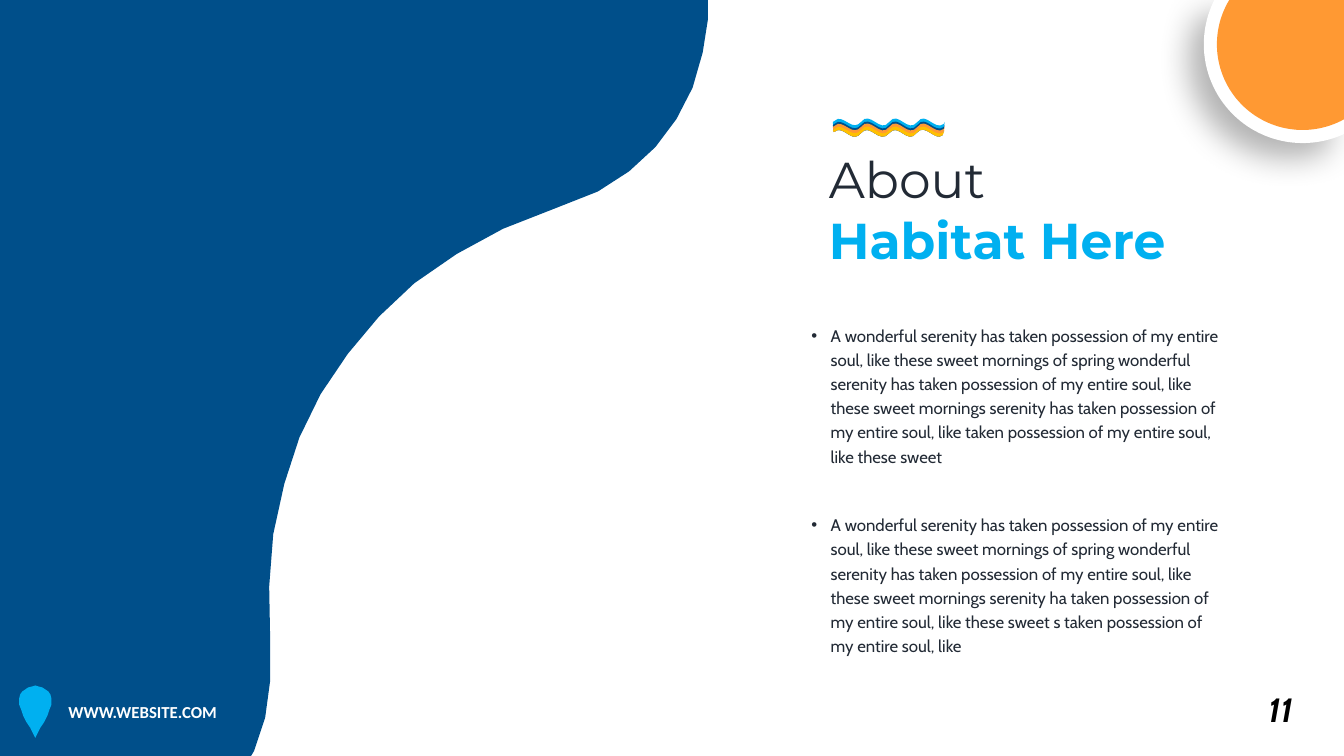
from math import acos, asin, cos, pi, sin

from lxml import etree
from pptx import Presentation
from pptx.dml.color import RGBColor
from pptx.enum.text import MSO_ANCHOR, MSO_AUTO_SIZE, PP_ALIGN
from pptx.oxml.ns import qn
from pptx.util import Inches, Pt

LEFT = PP_ALIGN.LEFT
TOP = MSO_ANCHOR.TOP
GROW = MSO_AUTO_SIZE.SHAPE_TO_FIT_TEXT
WIDTH, HEIGHT = 13.33, 7.5
COLORS = {
    "navy": "004F8A", "sky": "00B0F0", "orange": "FF9933", "gold": "FFC000",
    "ink": "222A35", "white": "FFFFFF", "black": "000000",
}

BLUE_WAVE = [
    (0, 0), (7.02, 0), (7.02, 0.2), (6.97, 0.52), (6.87, 0.87), (6.71, 1.18),
    (6.5, 1.46), (6.24, 1.7), (5.93, 1.9), (5.5, 2.07), (4.99, 2.27),
    (4.53, 2.52), (4.11, 2.81), (3.76, 3.14), (3.45, 3.51), (3.18, 3.91),
    (2.97, 4.34), (2.82, 4.8), (2.71, 5.3), (2.67, 5.82), (2.68, 6.37),
    (2.68, 6.75), (2.63, 7.12), (2.52, 7.45), (2.49, 7.5), (0, 7.5),
]
PIN_X = 0.35
PIN_HALF = [
    (0, 6.8), (0.03, 6.81), (0.07, 6.82), (0.1, 6.84), (0.13, 6.86),
    (0.15, 6.89), (0.16, 6.93), (0.16, 6.99), (0.14, 7.04), (0.12, 7.1),
    (0.09, 7.16), (0.05, 7.22), (0.02, 7.28), (0, 7.32),
]
CREST = [
    (8.31, 1.18), (8.39, 1.17), (8.46, 1.3), (8.54, 1.21), (8.63, 1.09),
    (8.73, 1.33), (8.82, 1.21), (8.91, 1.09), (9, 1.33), (9.1, 1.21),
    (9.18, 1.1), (9.27, 1.3), (9.36, 1.23),
]
TROUGH = [
    (9.35, 1.34), (9.27, 1.41), (9.18, 1.21), (9.09, 1.32), (9, 1.44),
    (8.91, 1.21), (8.82, 1.32), (8.72, 1.44), (8.63, 1.21), (8.54, 1.32),
    (8.46, 1.42), (8.39, 1.28), (8.31, 1.29),
]
BANDS = [("sky", 0), ("navy", 0.03), ("orange", 0.05), ("gold", 0.08)]
OPENING = (
    "A wonderful serenity has taken possession of my entire soul, like these "
    "sweet mornings of spring wonderful serenity has taken possession of my "
    "entire soul, like these sweet mornings serenity "
)
BULLETS = [
    "has taken possession of my entire soul, like taken possession of my "
    "entire soul, like these sweet",
    "ha taken possession of my entire soul, like these sweet s taken "
    "possession of my entire soul, like",
]


def bezier(nodes, steps=8):
    points = [nodes[0]]
    for i in range(0, len(nodes) - 1, 3):
        a, b, c, d = nodes[i:i + 4]
        for k in range(1, steps + 1):
            t = k / steps
            u = 1 - t
            points.append(tuple(
                u**3 * a[j] + 3 * u * u * t * b[j] + 3 * u * t * t * c[j] + t**3 * d[j]
                for j in (0, 1)))
    return points


def corner_disc(cx, cy, radius, steps=60):
    start = acos((WIDTH - cx) / radius)
    end = pi + asin(cy / radius)
    angles = [start + (end - start) * k / steps for k in range(steps + 1)]
    return [(WIDTH, 0)] + [(cx + radius * cos(a), cy + radius * sin(a)) for a in angles]


class Deck:
    def __init__(self):
        self.prs = Presentation()
        self.prs.slide_width = Inches(WIDTH)
        self.prs.slide_height = Inches(HEIGHT)
        self.s = self.prs.slides.add_slide(self.prs.slide_layouts[5])

    def color(self, name):
        return RGBColor.from_string(COLORS[name])

    def group(self):
        return self.s.shapes.add_group_shape().shapes

    def outline(self, points, fill, shapes=None):
        points = [(Inches(x), Inches(y)) for x, y in points]
        builder = (shapes or self.s.shapes).build_freeform(*points[0])
        builder.add_line_segments(points[1:], close=True)
        sp = builder.convert_to_shape()
        sp.fill.solid()
        sp.fill.fore_color.rgb = self.color(fill)
        sp.line.fill.background()
        sp.shadow.inherit = False
        return sp

    def cast_shadow(self, sp, blur, distance, angle, opacity):
        effects = sp._element.spPr.find(qn("a:effectLst"))
        shadow = etree.SubElement(
            effects, qn("a:outerShdw"), blurRad=str(Pt(blur)), dist=str(Pt(distance)),
            dir=str(angle * 60000), algn="tr", rotWithShape="0")
        tint = etree.SubElement(shadow, qn("a:srgbClr"), val=COLORS["black"])
        etree.SubElement(tint, qn("a:alpha"), val=str(opacity * 1000))

    def place(self, sp, box, wrap=True):
        sp.left, sp.top, sp.width, sp.height = [Inches(v) for v in box]
        tf = sp.text_frame
        tf.word_wrap = wrap
        tf.auto_size = GROW
        tf.vertical_anchor = TOP
        return tf

    def run(self, p, text, size, font, color, bold=False, italic=False):
        p.alignment = LEFT
        r = p.add_run()
        r.text = text
        r.font.size = Pt(size)
        r.font.name = font
        r.font.bold = bold
        r.font.italic = italic
        r.font.color.rgb = self.color(color)

    def title(self, box, lines):
        tf = self.place(self.s.shapes.title, box)
        for i, (text, color, bold) in enumerate(lines):
            p = tf.add_paragraph() if i else tf.paragraphs[0]
            p.line_spacing = 1.0
            p.space_before = Pt(0)
            self.run(p, text, 36, "Montserrat", color, bold)

    def text(self, box, text, size, font, color, wrap=True, **style):
        sp = self.s.shapes.add_textbox(*[Inches(v) for v in box])
        p = self.place(sp, box, wrap).paragraphs[0]
        self.run(p, text, size, font, color, **style)
        return p

    def bullet(self, box, text):
        p = self.text(box, text, 12, "Cabin", "ink")
        p.line_spacing = 1.2
        pPr = p._p.get_or_add_pPr()
        pPr.set("marL", str(Inches(0.19)))
        pPr.set("indent", str(-Inches(0.19)))
        etree.SubElement(pPr, qn("a:buFont"), typeface="Arial")
        etree.SubElement(pPr, qn("a:buChar"), char="•")


def main():
    deck = Deck()
    deck.outline(BLUE_WAVE, "navy")

    disc = deck.group()
    rim = deck.outline(corner_disc(12.92, 0.44, 0.98), "white", disc)
    deck.cast_shadow(rim, blur=23, distance=15, angle=135, opacity=29)
    deck.outline(corner_disc(12.92, 0.44, 0.85), "orange", disc)

    deck.text((12.48, 6.79, 0.59, 0.5), "11", 24, "Cabin", "black",
              wrap=False, bold=True, italic=True)

    right = [(PIN_X + dx, y) for dx, y in PIN_HALF]
    left = [(PIN_X - dx, y) for dx, y in PIN_HALF[-2:0:-1]]
    deck.outline(right + left, "sky")
    deck.text((0.58, 6.91, 2.53, 0.3), "WWW.WEBSITE.COM", 12, "Calibri", "white", bold=True)

    deck.title((8.12, 1.42, 3.77, 1.31),
               [("About", "ink", False), ("Habitat Here", "sky", True)])

    waves = deck.group()
    for color, drop in BANDS:
        crest = [(x, y + drop) for x, y in bezier(CREST) + [(9.37, 1.21)]]
        band = crest + bezier(TROUGH) + [(8.27, 1.31), (8.26, 1.21 + drop)]
        deck.outline(band, color, waves)

    for i, ending in enumerate(BULLETS):
        deck.bullet((7.95, 3.14 + 1.88 * i, 4.32, 1.53), OPENING + ending)

    deck.prs.save("out.pptx")


if __name__ == "__main__":
    main()
